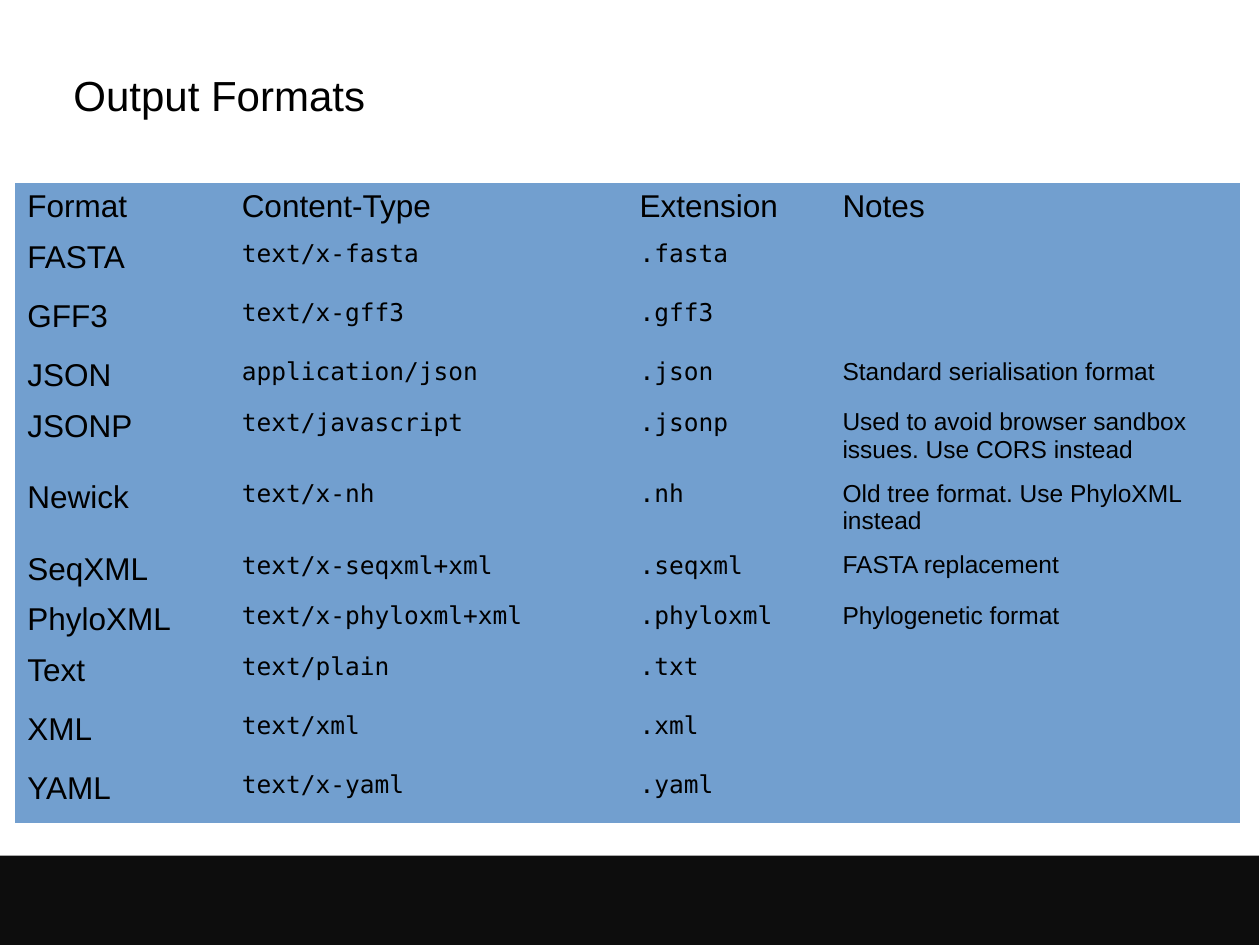
from pptx import Presentation
from pptx.dml.color import RGBColor
from pptx.enum.shapes import MSO_SHAPE
from pptx.enum.text import MSO_ANCHOR, PP_ALIGN
from pptx.util import Cm, Pt

RECT = MSO_SHAPE.RECTANGLE
MIDDLE = MSO_ANCHOR.MIDDLE
LEFT = PP_ALIGN.LEFT

COLORS = {"text": "000000", "cell": "729FCF", "footer": "0D0D0D"}
SANS, MONO = "Arial", "DejaVu Sans Mono"
TITLE_ONLY = 5

COLUMN_WIDTHS = [4.32, 8.02, 4.09, 8.26]
COLUMN_STYLES = [(SANS, 18), (MONO, 14), (MONO, 14), (SANS, 14)]
HEADER_STYLE = (SANS, 18)
TIGHT, LOOSE, TWO_LINES = 1.02, 1.19, 1.44

HEADER = ("Format", "Content-Type", "Extension", "Notes")
FORMATS = [
    (LOOSE, "FASTA", "text/x-fasta", ".fasta", ""),
    (LOOSE, "GFF3", "text/x-gff3", ".gff3", ""),
    (TIGHT, "JSON", "application/json", ".json", "Standard serialisation format"),
    (TWO_LINES, "JSONP", "text/javascript", ".jsonp",
     "Used to avoid browser sandbox issues. Use CORS instead"),
    (TWO_LINES, "Newick", "text/x-nh", ".nh", "Old tree format. Use PhyloXML instead"),
    (TIGHT, "SeqXML", "text/x-seqxml+xml", ".seqxml", "FASTA replacement"),
    (TIGHT, "PhyloXML", "text/x-phyloxml+xml", ".phyloxml", "Phylogenetic format"),
    (LOOSE, "Text", "text/plain", ".txt", ""),
    (LOOSE, "XML", "text/xml", ".xml", ""),
    (LOOSE, "YAML", "text/x-yaml", ".yaml", ""),
]


def rgb(name):
    return RGBColor.from_string(COLORS[name])


def add_run(p, text, font, size):
    r = p.add_run()
    r.text = text
    r.font.name = font
    r.font.size = Pt(size)
    r.font.color.rgb = rgb("text")


def add_footer_bar(s):
    """Draw the dark band along the bottom, behind everything else."""
    bar = s.shapes.add_shape(RECT, Cm(0), Cm(17.25), Cm(25.38), Cm(1.8))
    bar.shadow.inherit = False
    bar.fill.solid()
    bar.fill.fore_color.rgb = rgb("footer")
    bar.line.fill.background()
    s.shapes.title.element.addprevious(bar.element)


def fill_title(s, text):
    title = s.shapes.title
    title.left, title.top = Cm(1.48), Cm(0.85)
    title.width, title.height = Cm(22.65), Cm(2.12)
    tf = title.text_frame
    tf.margin_left = tf.margin_right = tf.margin_top = tf.margin_bottom = 0
    tf.vertical_anchor = MIDDLE
    p = tf.paragraphs[0]
    p.alignment = LEFT
    add_run(p, text, SANS, 24)


def fill_cell(cell, text, style):
    cell.fill.solid()
    cell.fill.fore_color.rgb = rgb("cell")
    if text:
        add_run(cell.text_frame.paragraphs[0], text, *style)


def add_format_table(s):
    rows = [(TIGHT, *HEADER), *FORMATS]
    frame = s.shapes.add_table(
        len(rows), len(HEADER), Cm(0.3), Cm(3.69),
        Cm(sum(COLUMN_WIDTHS)), Cm(sum(row[0] for row in rows)))
    table = frame.table
    table.first_row = table.horz_banding = False
    # The plain "No Style, No Grid" table style keeps the cells borderless
    frame.element.find(".//{*}tableStyleId").text = "{2D5ABB26-0587-4C30-8999-92F81FD0307C}"
    for column, width in zip(table.columns, COLUMN_WIDTHS):
        column.width = Cm(width)
    for i, (height, *texts) in enumerate(rows):
        table.rows[i].height = Cm(height)
        for j, text in enumerate(texts):
            style = COLUMN_STYLES[j] if i else HEADER_STYLE
            fill_cell(table.cell(i, j), text, style)


def main():
    prs = Presentation()
    prs.slide_width, prs.slide_height = Cm(25.4), Cm(19.05)
    s = prs.slides.add_slide(prs.slide_layouts[TITLE_ONLY])
    add_footer_bar(s)
    fill_title(s, "Output Formats")
    add_format_table(s)
    prs.save("out.pptx")


if __name__ == "__main__":
    main()
